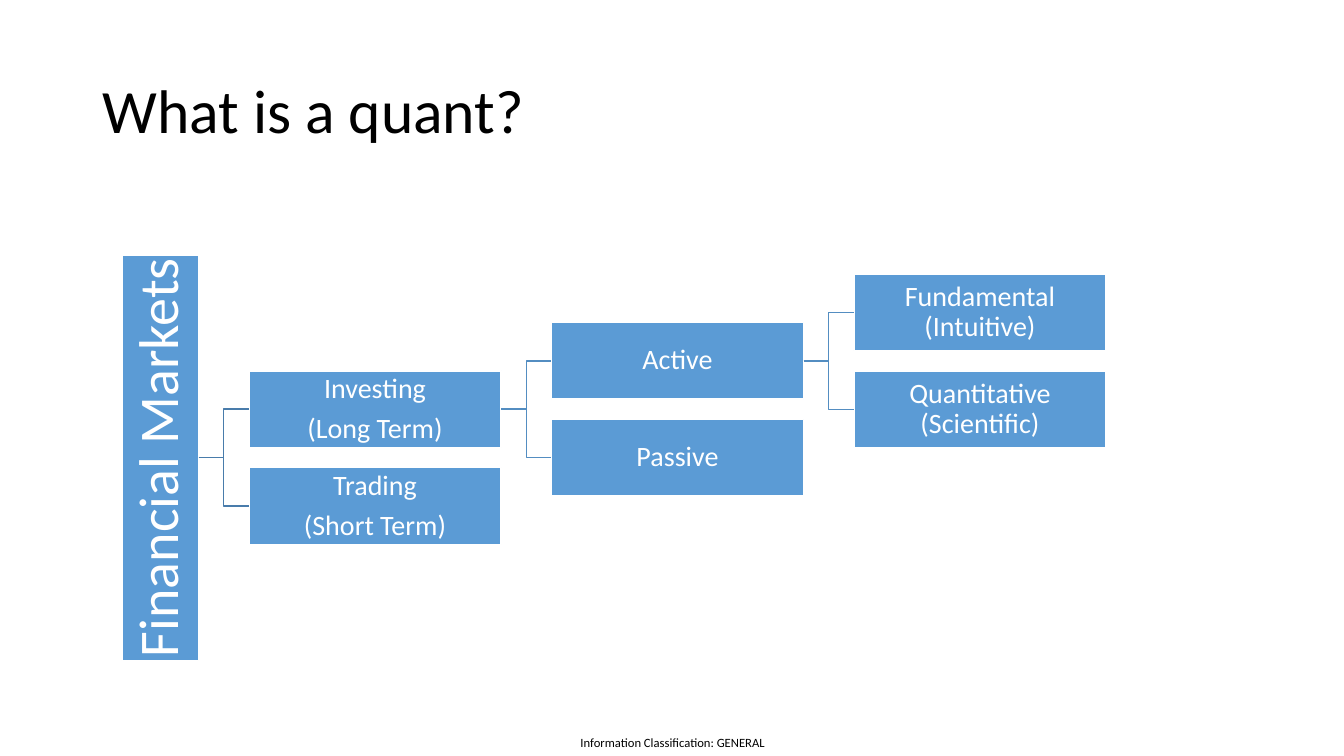
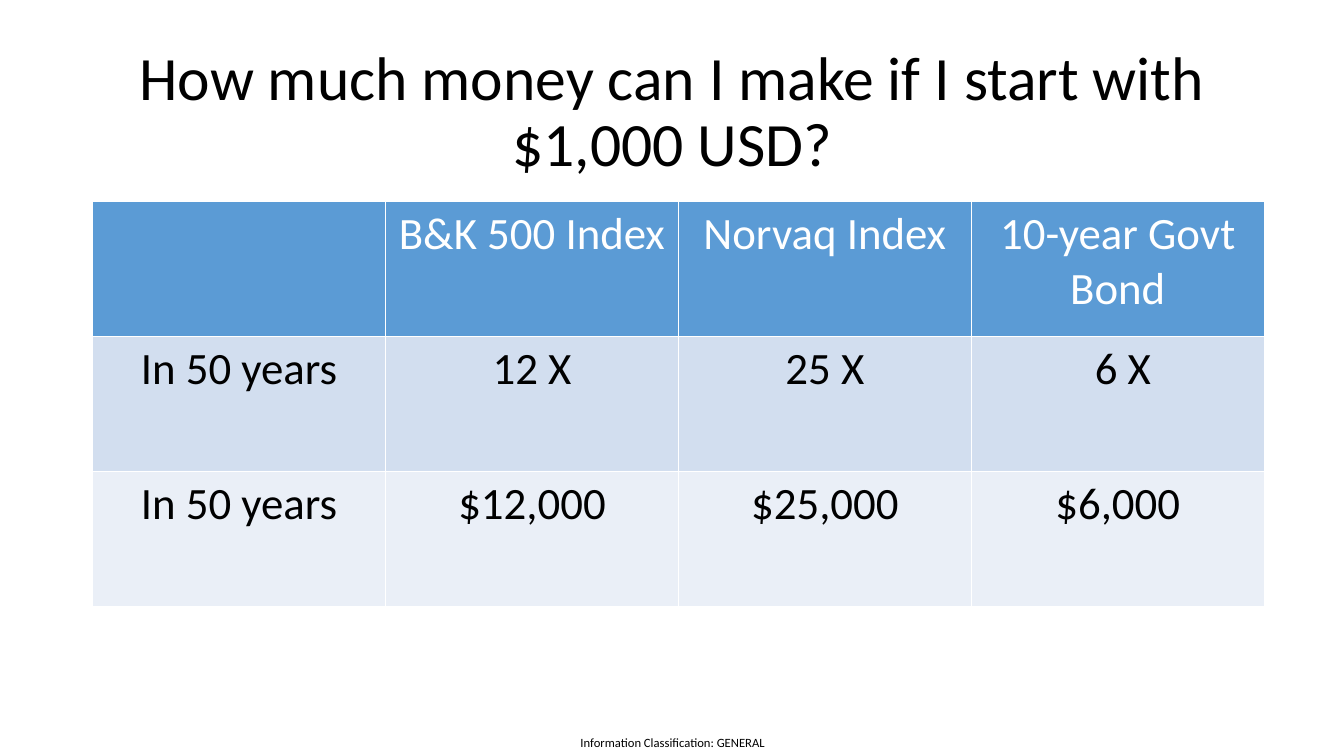
import lxml.etree
import pptx
import pptx.dml.color
import pptx.enum.shapes
import pptx.enum.text
import pptx.oxml.ns
import pptx.util

Inches, Pt = pptx.util.Inches, pptx.util.Pt
RGBColor = pptx.dml.color.RGBColor
PP_ALIGN, MSO_ANCHOR = pptx.enum.text.PP_ALIGN, pptx.enum.text.MSO_ANCHOR
MSO_SHAPE = pptx.enum.shapes.MSO_SHAPE
qn = pptx.oxml.ns.qn

FONT = "Calibri"
BLACK = RGBColor(0x00, 0x00, 0x00)
WHITE = RGBColor(0xFF, 0xFF, 0xFF)
BLUE = RGBColor(0x5B, 0x9B, 0xD5)
ROOT_LINK = RGBColor(0x49, 0x7C, 0xAB)
BRANCH_LINK = RGBColor(0x53, 0x8D, 0xC1)
BANDS = (RGBColor(0xD2, 0xDE, 0xEF), RGBColor(0xEA, 0xEF, 0xF7))

BOX_W, BOX_H = 2.5, 0.76
LEVEL_GAP = 0.5
SIBLING_PITCH = 0.96

# Each node is (paragraphs, children).
MARKET_TREE = (["Financial Markets"], [
    (["Investing", "(Long Term)"], [
        (["Active"], [
            (["Fundamental (Intuitive)"], []),
            (["Quantitative (Scientific)"], []),
        ]),
        (["Passive"], []),
    ]),
    (["Trading", "(Short Term)"], []),
])

RETURNS = [
    ["", "B&K 500 Index", "Norvaq Index", "10-year Govt Bond"],
    ["In 50 years", "12 X", "25 X", " 6 X"],
    ["In 50 years", "$12,000", "$25,000", "$6,000"],
]


def write(tf, lines, size, color, align=PP_ALIGN.CENTER, spacing=None, after=None):
    for i, line in enumerate(lines):
        p = tf.paragraphs[0] if i == 0 else tf.add_paragraph()
        p.text = line
        p.alignment = align
        p.line_spacing = spacing
        p.space_after = after
        p.font.name = FONT
        p.font.size = Pt(size)
        p.font.bold = False
        p.font.color.rgb = color


def set_margins(tf, inches):
    tf.margin_left = tf.margin_right = tf.margin_top = tf.margin_bottom = Inches(inches)


def add_text(s, left, top, width, height):
    tf = s.shapes.add_textbox(Inches(left), Inches(top), Inches(width), Inches(height)).text_frame
    tf.word_wrap = True
    tf.vertical_anchor = MSO_ANCHOR.MIDDLE
    return tf


def add_slide(prs, title, align):
    """Add a blank slide with the shared title and footer."""
    s = prs.slides.add_slide(prs.slide_layouts[6])
    footer = add_text(s, 5.59, 7.23, 2.16, 0.27)
    set_margins(footer, 0)
    write(footer, ["Information Classification: GENERAL"], 9, BLACK)
    write(add_text(s, 0.92, 0.4, 11.5, 1.45), [title], 44, BLACK, align, 0.9)
    return s


def add_box(s, lines, left, middle, width, height, size):
    sp = s.shapes.add_shape(MSO_SHAPE.RECTANGLE, Inches(left), Inches(middle - height / 2),
                            Inches(width), Inches(height))
    sp.shadow.inherit = False
    sp.fill.solid()
    sp.fill.fore_color.rgb = BLUE
    sp.line.color.rgb = WHITE
    sp.line.width = Pt(1)
    tf = sp.text_frame
    tf.word_wrap = True
    tf.vertical_anchor = MSO_ANCHOR.MIDDLE
    set_margins(tf, 0.01)
    write(tf, lines, size, WHITE, spacing=0.9, after=Pt(size * 0.35))
    return sp


def add_link(s, parent, child, color):
    """Join the right side of parent to the left side of child."""
    link = s.shapes.add_connector(pptx.enum.shapes.MSO_CONNECTOR.ELBOW, 0, 0, 0, 0)
    link.begin_connect(parent, 3)
    link.end_connect(child, 1)
    link.line.color.rgb = color
    link.line.width = Pt(1)
    lxml.etree.SubElement(link._element.spPr, qn("a:effectLst"))


def add_branches(s, parent, children, left, middle, color):
    """Stack the children around middle, each followed by its own branches."""
    for i, (lines, grandchildren) in enumerate(children):
        y = middle + (i - (len(children) - 1) / 2) * SIBLING_PITCH
        box = add_box(s, lines, left, y, BOX_W, BOX_H, 20)
        add_link(s, parent, box, color)
        add_branches(s, box, grandchildren, left + BOX_W + LEVEL_GAP, y, BRANCH_LINK)


def add_tree(s, tree, left, middle, height):
    lines, children = tree
    root = add_box(s, lines, left, middle, BOX_H, height, 40)
    root.text_frame._txBody.bodyPr.set("vert", "vert270")
    add_branches(s, root, children, left + BOX_H + LEVEL_GAP, middle, ROOT_LINK)


def set_borders(cell):
    tcPr = cell._tc.get_or_add_tcPr()
    for side in "LRTB":
        ln = lxml.etree.SubElement(tcPr, qn("a:ln" + side), w=str(Pt(1)))
        fill = lxml.etree.SubElement(ln, qn("a:solidFill"))
        lxml.etree.SubElement(fill, qn("a:srgbClr"), val=str(WHITE))


def add_returns_table(s, rows, left, top, width, height):
    table = s.shapes.add_table(len(rows), len(rows[0]), Inches(left), Inches(top),
                               Inches(width), Inches(height)).table
    for r, row in enumerate(rows):
        for c, text in enumerate(row):
            cell = table.cell(r, c)
            set_borders(cell)
            cell.fill.solid()
            cell.fill.fore_color.rgb = BANDS[(r - 1) % 2] if r else BLUE
            write(cell.text_frame, [text], 32, BLACK if r else WHITE)


def main():
    prs = pptx.Presentation()
    prs.slide_width, prs.slide_height = Inches(13.33), Inches(7.5)

    s = add_slide(prs, "What is a quant?", PP_ALIGN.LEFT)
    add_tree(s, MARKET_TREE, 1.21, 4.54, 4.02)

    s = add_slide(prs, "How much money can I make if I start with $1,000 USD?", PP_ALIGN.CENTER)
    add_returns_table(s, RETURNS, 0.92, 2, 11.62, 4.02)

    prs.save("out.pptx")


if __name__ == "__main__":
    main()
